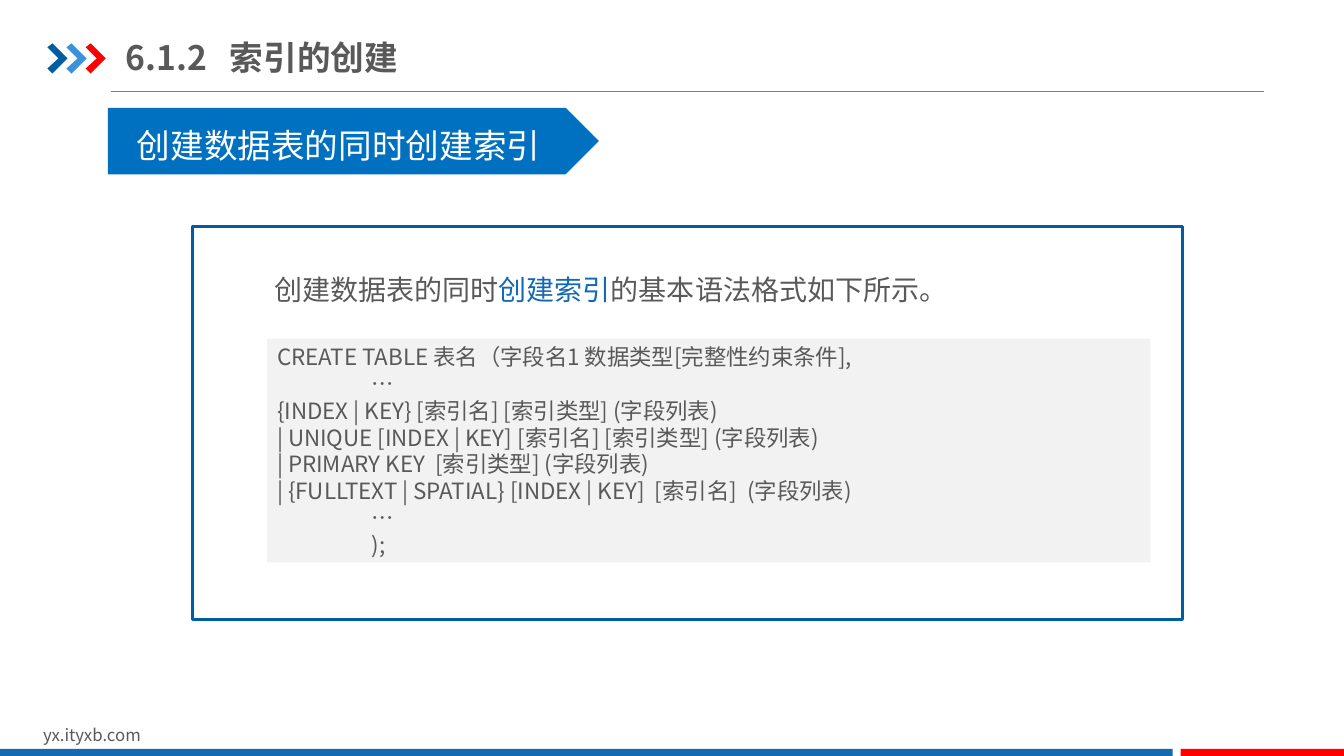
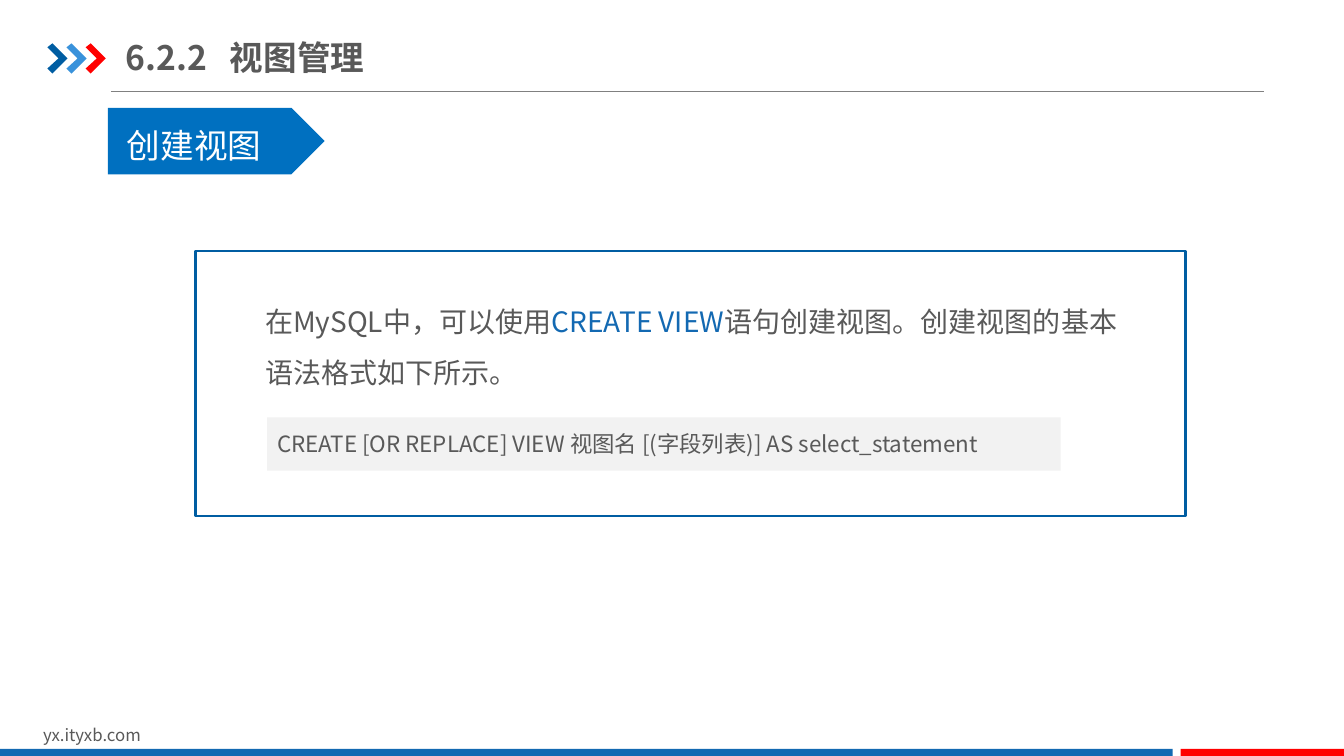
from lxml import etree
from pptx import Presentation
from pptx.dml.color import RGBColor
from pptx.enum import shapes, text
from pptx.oxml import ns
from pptx.util import Inches, Pt

FONT = "Noto Sans CJK SC"
COLORS = {
    "body": "595959",
    "navy": "005DA2",
    "sky": "3992DB",
    "red": "FF0000",
    "blue": "1369B2",
    "banner": "0070C0",
    "code": "F2F2F2",
    "rule": "808080",
    "white": "FFFFFF",
}
CREATE_TABLE = """CREATE TABLE 表名（字段名1 数据类型[完整性约束条件],
                   …
{INDEX | KEY} [索引名] [索引类型] (字段列表)
| UNIQUE [INDEX | KEY] [索引名] [索引类型] (字段列表)
| PRIMARY KEY  [索引类型] (字段列表)
| {FULLTEXT | SPATIAL} [INDEX | KEY]  [索引名]  (字段列表)
                   …
                   );"""
CREATE_VIEW = "CREATE [OR REPLACE] VIEW 视图名 [(字段列表)] AS select_statement"


def rgb(name):
    return RGBColor.from_string(COLORS[name])


def paint(shape, fill, line=None, width=2):
    shape.shadow.inherit = False
    shape.fill.solid()
    shape.fill.fore_color.rgb = rgb(fill)
    if line:
        shape.line.color.rgb = rgb(line)
        shape.line.width = Pt(width)
    else:
        shape.line.fill.background()


def add_block(slide, box, fill, line=None, kind=shapes.MSO_SHAPE.RECTANGLE):
    block = slide.shapes.add_shape(kind, *map(Inches, box))
    paint(block, fill, line)
    return block


def write(shape, content, size, color="body", bold=False, spacing=None,
          middle=False, insets=(0.1, 0.05), tab=None):
    """Fill a shape with text: a string, one paragraph a line, or (text, colour) runs."""
    frame = shape.text_frame
    frame.word_wrap = True
    frame.vertical_anchor = text.MSO_ANCHOR.MIDDLE if middle else text.MSO_ANCHOR.TOP
    frame.margin_left = frame.margin_right = Inches(insets[0])
    frame.margin_top = frame.margin_bottom = Inches(insets[1])
    if isinstance(content, str):
        paragraphs = [[(line, color)] for line in content.split("\n")]
    else:
        paragraphs = [content]
    for index, runs in enumerate(paragraphs):
        paragraph = frame.add_paragraph() if index else frame.paragraphs[0]
        if tab:
            stops = etree.SubElement(paragraph._p.get_or_add_pPr(), ns.qn("a:tabLst"))
            etree.SubElement(stops, ns.qn("a:tab"), pos=str(Inches(tab)), algn="l")
        paragraph.alignment = text.PP_ALIGN.LEFT
        if spacing:
            paragraph.line_spacing = spacing
        for words, run_color in runs:
            run = paragraph.add_run()
            run.text = words
            run.font.size = Pt(size)
            run.font.bold = bold
            run.font.color.rgb = rgb(run_color)
            run.font.name = FONT
            etree.SubElement(run._r.get_or_add_rPr(), ns.qn("a:ea"), typeface=FONT)


def add_text(slide, box, content, size, **style):
    write(slide.shapes.add_textbox(*map(Inches, box)), content, size, **style)


def add_chevron(slide, left, color):
    outline = [(0, 0.47), (0.05, 0.43), (0.2, 0.58), (0.05, 0.73), (0, 0.68), (0.11, 0.58)]
    points = [(Inches(left + x), Inches(y)) for x, y in outline]
    builder = slide.shapes.build_freeform(*points[0], scale=1.0)
    builder.add_line_segments(points[1:], close=True)
    paint(builder.convert_to_shape(), color)


def add_rule(slide):
    ends = map(Inches, (1.1, 0.91, 12.54, 0.91))
    rule = slide.shapes.add_connector(shapes.MSO_CONNECTOR.STRAIGHT, *ends)
    rule.line.color.rgb = rgb("rule")
    rule.line.width = Pt(0.75)
    etree.SubElement(rule._element.spPr, ns.qn("a:effectLst"))


def add_page(deck, number, heading):
    """Add a slide with the shared title, rule, chevrons and footer."""
    slide = deck.slides.add_slide(deck.slide_layouts[6])
    add_rule(slide)
    for index, color in enumerate(("navy", "sky", "red")):
        add_chevron(slide, 0.47 + 0.19 * index, color)
    add_text(slide, (0.33, 7.14, 3.18, 0.3), "yx.ityxb.com", 12)
    add_block(slide, (0, 7.43, 11.63, 0.07), "blue")
    add_block(slide, (11.71, 7.43, 1.62, 0.07), "red")
    add_text(slide, (1.25, 0.29, 4.64, 0.55), f"{number}\t{heading}", 24, bold=True,
             middle=True, insets=(0, 0.07), tab=1.03)
    return slide


def add_banner(slide, label, width, label_left, label_width):
    add_block(slide, (1.07, 1.07, width, 0.66), "banner", kind=shapes.MSO_SHAPE.PENTAGON)
    add_text(slide, (label_left, 0.99, label_width, 0.71), label, 24, color="white", spacing=1.5)


def add_syntax(slide, frame_box, intro_box, intro, code_box, code):
    """Add a framed panel with an introduction above a code block."""
    add_block(slide, frame_box, "white", "navy", shapes.MSO_SHAPE.FLOWCHART_PROCESS)
    add_text(slide, intro_box, intro, 20, spacing=1.5)
    write(add_block(slide, code_box, "code"), code, 16, middle=True)


def main():
    deck = Presentation()
    deck.slide_width, deck.slide_height = Inches(13.33), Inches(7.5)

    index_page = add_page(deck, "6.1.2", "索引的创建")
    add_syntax(
        index_page, (1.91, 2.25, 9.82, 3.9), (2.62, 2.49, 8.65, 0.6),
        [("创建数据表的同时", "body"), ("创建索引", "blue"),
         ("的基本语法格式如下所示。", "body")],
        (2.65, 3.36, 8.76, 2.22), CREATE_TABLE)
    add_banner(index_page, "创建数据表的同时创建索引", 4.87, 1.26, 4.49)

    view_page = add_page(deck, "6.2.2", "视图管理")
    add_syntax(
        view_page, (1.94, 2.49, 9.82, 2.63), (2.53, 2.81, 8.65, 1.11),
        [("在MySQL中，可以使用", "body"), ("CREATE VIEW", "blue"),
         ("语句创建视图。创建视图的基本语法格式如下所示。", "body")],
        (2.65, 4.14, 7.87, 0.53), CREATE_VIEW)
    add_banner(view_page, "创建视图", 2.15, 1.16, 1.99)

    deck.save("out.pptx")


if __name__ == "__main__":
    main()
